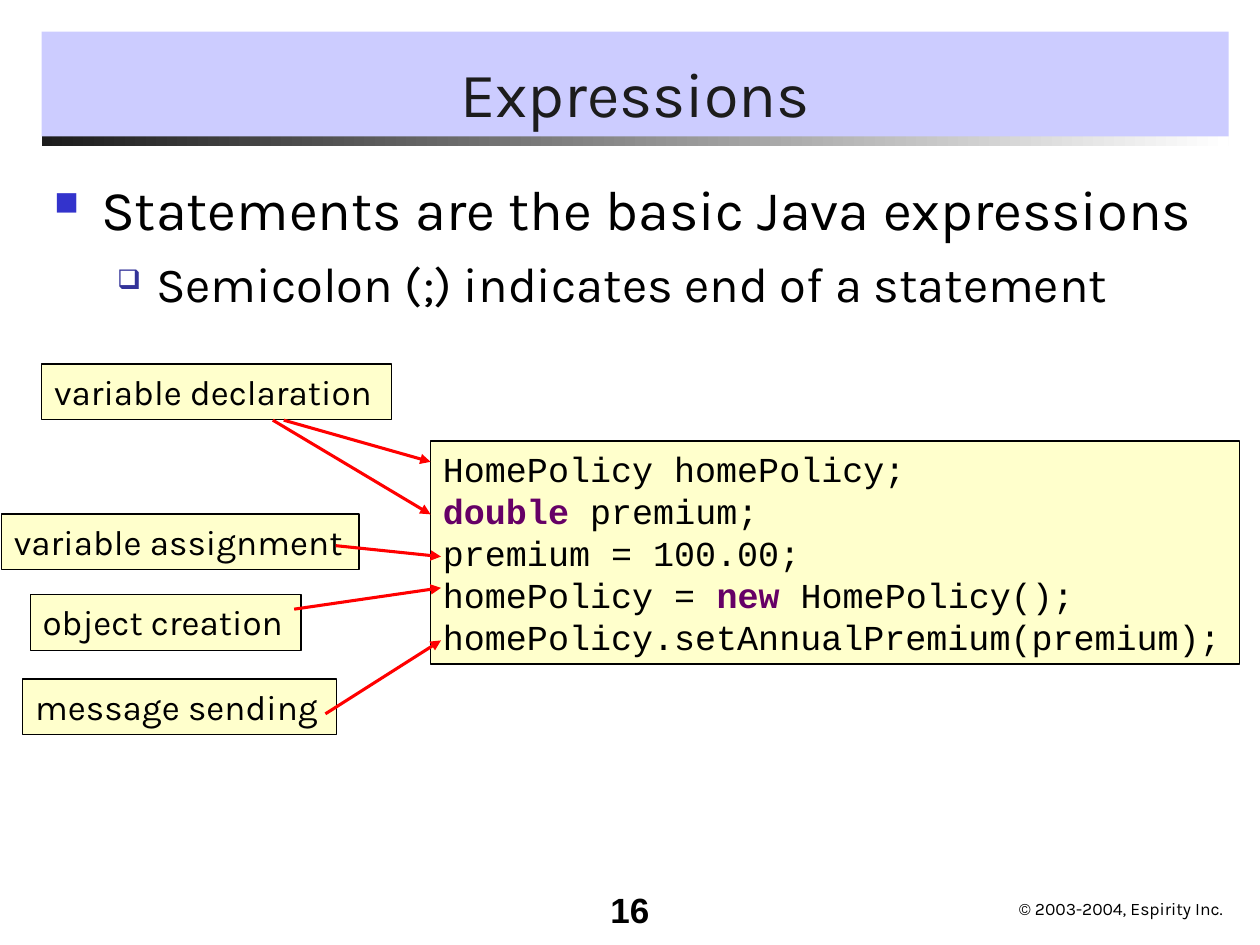
from typing import NamedTuple

from lxml import etree
from pptx import Presentation
from pptx import util as u
from pptx.dml.color import RGBColor
from pptx.enum import shapes, text
from pptx.oxml import ns

SANS, MONO = "Karla", "Courier New"
BLACK, INK, CREAM, RED = "000000", "1C1C1C", "FFFFCC", "FF0000"
LEFT, WIDE = 0.84, 23.93


class Run(NamedTuple):
    text: str
    size: float
    font: str = SANS
    color: str = BLACK
    bold: bool = False


class Label(NamedTuple):
    text: str
    x: float
    y: float
    w: float


class Arrow(NamedTuple):
    x1: float
    y1: float
    x2: float
    y2: float


class Bullet(NamedTuple):
    run: Run
    mark: str
    color: str
    scale: int
    left: float
    hang: float
    gap: float


def rgb(code: str) -> RGBColor:
    return RGBColor.from_string(code)


def code(part: str) -> Run:
    return Run(part, 20, MONO)


def key(word: str) -> Run:
    return Run(word, 20, MONO, "660066", True)


def add_run(para, run: Run) -> None:
    item = para.add_run()
    item.text = run.text
    font = item.font
    font.size, font.name, font.bold = u.Pt(run.size), run.font, run.bold
    font.color.rgb = rgb(run.color)


def write(shape, lines: list[list[Run]], align=text.PP_ALIGN.LEFT,
          anchor=text.MSO_ANCHOR.TOP, wrap: bool = True) -> None:
    frame = shape.text_frame
    frame.word_wrap, frame.vertical_anchor = wrap, anchor
    if not wrap:
        frame.auto_size = text.MSO_AUTO_SIZE.SHAPE_TO_FIT_TEXT
    for i, runs in enumerate(lines):
        para = frame.add_paragraph() if i else frame.paragraphs[0]
        para.alignment = align
        for run in runs:
            add_run(para, run)


def add_rect(slide, x: float, y: float, w: float, h: float,
             fill: str | None = None, line: str | None = None):
    rect = slide.shapes.add_shape(shapes.MSO_SHAPE.RECTANGLE,
                                  u.Cm(x), u.Cm(y), u.Cm(w), u.Cm(h))
    rect.shadow.inherit = False
    if fill:
        rect.fill.solid()
        rect.fill.fore_color.rgb = rgb(fill)
    if line:
        rect.line.color.rgb = rgb(line)
        rect.line.width = u.Pt(0.75)
    else:
        rect.line.fill.background()
    return rect


def add_text(slide, x: float, y: float, w: float, h: float):
    return slide.shapes.add_textbox(u.Cm(x), u.Cm(y), u.Cm(w), u.Cm(h))


def add_arrow(slide, a: Arrow) -> None:
    link = slide.shapes.add_connector(
        shapes.MSO_CONNECTOR.STRAIGHT,
        u.Cm(a.x1), u.Cm(a.y1), u.Cm(a.x2), u.Cm(a.y2))
    link.line.color.rgb = rgb(RED)
    link.line.width = u.Pt(1.75)
    tip = etree.SubElement(link.line._get_or_add_ln(), ns.qn("a:tailEnd"))
    tip.set("type", "triangle")
    etree.SubElement(link._element.spPr, ns.qn("a:effectLst"))


def add_mark(para, b: Bullet) -> None:
    props = para._p.get_or_add_pPr()
    props.set("marL", str(u.Cm(b.left)))
    props.set("indent", str(-u.Cm(b.hang)))
    tint = etree.SubElement(props, ns.qn("a:buClr"))
    etree.SubElement(tint, ns.qn("a:srgbClr")).set("val", b.color)
    etree.SubElement(props, ns.qn("a:buSzPct")).set("val", str(b.scale * 1000))
    etree.SubElement(props, ns.qn("a:buChar")).set("char", b.mark)


BULLETS = [
    Bullet(Run("Statements are the basic Java expressions", 32),
           "■", "3333CC", 60, 0.95, 0.95, 0),
    Bullet(Run("Semicolon (;) indicates end of a statement", 28),
           "❑", "333399", 55, 2.06, 0.79, 7),
]
CODE = [
    [code("HomePolicy homePolicy;")],
    [key("double"), code(" premium;")],
    [code("premium = 100.00;")],
    [code("homePolicy = "), key("new"), code(" HomePolicy();")],
    [code("homePolicy.setAnnualPremium(premium);")],
]
LABELS = [
    Label("variable declaration", LEFT, 7.34, 7.06),
    Label("variable assignment", 0.03, 10.36, 7.21),
    Label("object creation", 0.61, 11.99, 5.46),
    Label("message sending", 0.46, 13.69, 6.32),
]
ARROWS = [
    Arrow(5.5, 8.47, 8.68, 10.37),
    Arrow(6.77, 11, 8.89, 11.22),
    Arrow(5.93, 12.28, 8.89, 11.85),
    Arrow(6.56, 14.39, 8.89, 12.91),
    Arrow(5.72, 8.47, 8.68, 9.31),
]


def main() -> None:
    deck = Presentation()
    deck.slide_width, deck.slide_height = u.Cm(25.4), u.Cm(19.05)
    slide = deck.slides.add_slide(deck.slide_layouts[6])

    # Title band with a fading rule below
    rule = add_rect(slide, LEFT, 2.74, WIDE, 0.21)
    rule.fill.gradient()
    rule.fill.gradient_angle = 0
    for stop, tone in zip(rule.fill.gradient_stops, (INK, "FFFFFF")):
        stop.color.rgb = rgb(tone)
    title = add_rect(slide, LEFT, 0.64, WIDE, 2.11, "CCCCFF")
    write(title, [[Run("Expressions", 36, SANS, INK)]],
          text.PP_ALIGN.CENTER, text.MSO_ANCHOR.BOTTOM)

    # Footer
    page = add_text(slide, 11.23, 17.78, 2.11, 1.27)
    write(page, [[Run("16", 20, "Arial", BLACK, True)]], text.PP_ALIGN.RIGHT)
    foot = add_text(slide, 20.29, 17.98, 4.7, 0.69)
    write(foot, [[Run("© 2003-2004, Espirity Inc.", 10)]], wrap=False)

    # Bullets
    body = add_text(slide, LEFT, 3.39, 24.03, 13.76)
    write(body, [[b.run] for b in BULLETS])
    for para, b in zip(body.text_frame.paragraphs, BULLETS):
        add_mark(para, b)
        para.space_before = u.Pt(b.gap)
    body.text_frame.paragraphs[1].level = 1

    # Code sample, its labels and arrows
    write(add_rect(slide, 8.68, 8.89, 16.31, 4.5, CREAM, BLACK), CODE)
    for tag in LABELS:
        box = add_rect(slide, tag.x, tag.y, tag.w, 1.12, CREAM, BLACK)
        write(box, [[Run(tag.text, 20)]], wrap=False)
    for arrow in ARROWS:
        add_arrow(slide, arrow)

    deck.save("out.pptx")


if __name__ == "__main__":
    main()
